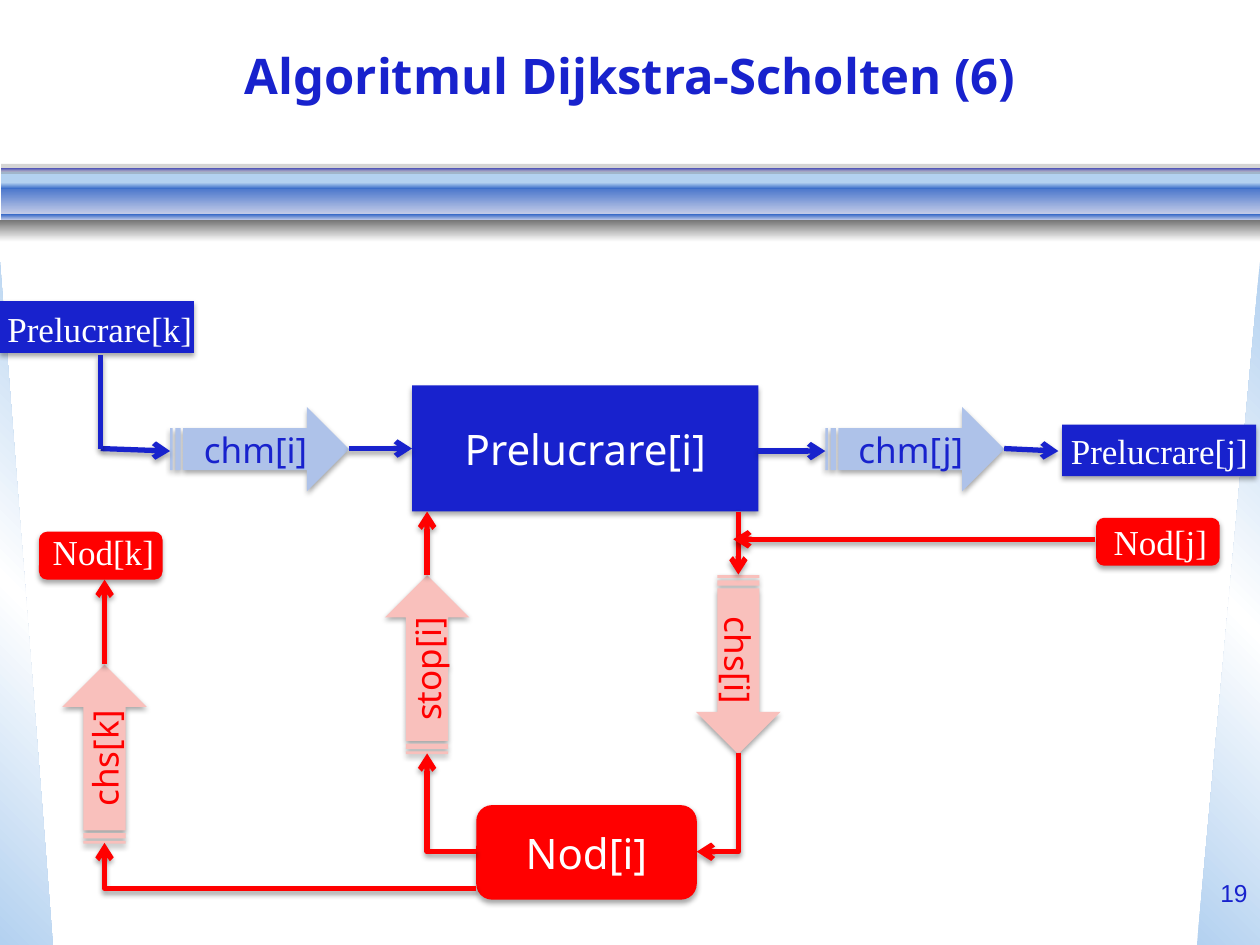
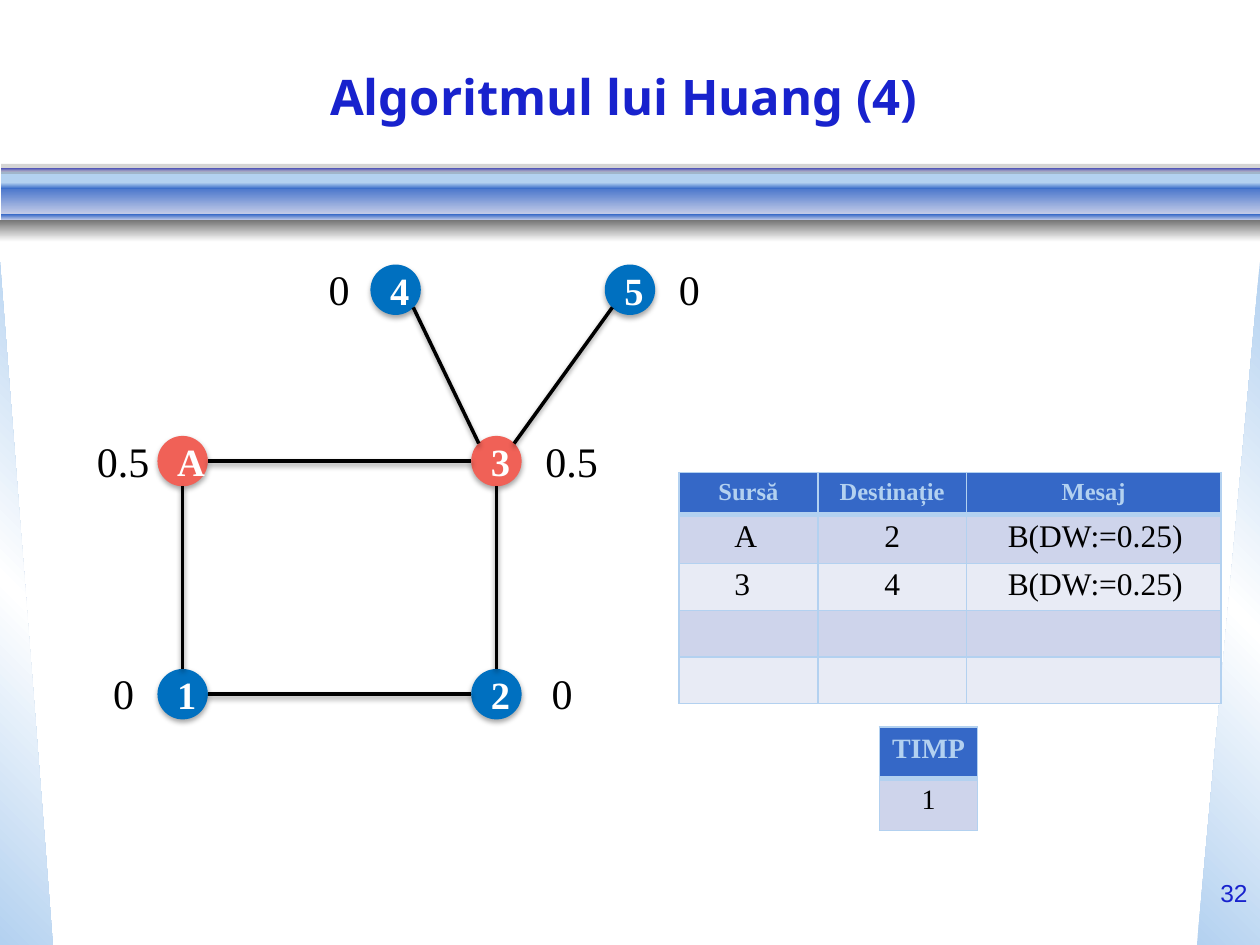
from math import cos, radians, sin

from lxml import etree
from pptx import Presentation
from pptx import util as u
from pptx.dml.color import RGBColor
from pptx.enum import shapes, text
from pptx.oxml.ns import qn

PX = 9144
WIDTH, HEIGHT = 1000, 750
BLUE, RED, WHITE, BLACK = "1822CD", "FF0000", "FFFFFF", "000000"
SKY, ROYAL, MIST, GREY = "B3D1F0", "3568C7", "CAD0E9", "777777"
PALE_BLUE, PALE_RED = "AEC2E9", "F9C0BC"
NODE_BLUE, NODE_RED = "0070C0", "F06157"
STRIPES = ("CED4EB", "E8EBF5")
SANS, SERIF = "Noto Sans", "Times New Roman"
KIND = shapes.MSO_SHAPE
NODE_SIZE = 40


def px(*lengths):
    return [u.Emu(round(length * PX)) for length in lengths]


def color(hex_string):
    return RGBColor.from_string(hex_string)


def child(parent, name, **attributes):
    element = etree.SubElement(parent, qn("a:" + name))
    for key, value in attributes.items():
        element.set(key, str(value))
    return element


def write(frame, words, size=20, font=SERIF, ink=WHITE, bold=False,
          align=text.PP_ALIGN.CENTER):
    para = frame.paragraphs[0]
    para.alignment = align
    span = para.add_run()
    span.text = words
    span.font.size = u.Pt(size)
    span.font.name = font
    span.font.bold = bold
    span.font.color.rgb = color(ink)


def add_text(page, words, box, anchor=text.MSO_ANCHOR.TOP, wrap=True, **style):
    label = page.shapes.add_textbox(*px(*box))
    frame = label.text_frame
    frame.word_wrap = wrap
    frame.vertical_anchor = anchor
    if not wrap:
        frame.auto_size = text.MSO_AUTO_SIZE.SHAPE_TO_FIT_TEXT
    write(frame, words, **style)


def add_label(page, words, box, **style):
    add_text(page, words, box, wrap=False, align=text.PP_ALIGN.LEFT, **style)


def set_effect(item, opacity=35, distance=1.8):
    properties = item._element.spPr
    for old in properties.findall(qn("a:effectLst")):
        properties.remove(old)
    effects = child(properties, "effectLst")
    if opacity:
        shadow = child(effects, "outerShdw", blurRad=u.Pt(3.1), dist=u.Pt(distance),
                       dir=5400000, rotWithShape=0)
        child(child(shadow, "srgbClr", val=BLACK), "alpha", val=opacity * 1000)


def add_block(page, kind, box, fill, words=None, rotation=0, shadow=True, **style):
    block = page.shapes.add_shape(kind, *px(*box))
    block.rotation = rotation
    block.fill.solid()
    block.fill.fore_color.rgb = color(fill)
    block.line.fill.background()
    set_effect(block, 35 if shadow else 0)
    if words:
        block.text_frame.vertical_anchor = text.MSO_ANCHOR.MIDDLE
        write(block.text_frame, words, **style)
    return block


def add_gradient(page, kind, box, stops, angle=90, mirrored=False):
    block = add_block(page, kind, box, stops[0], shadow=False)
    properties = block._element.spPr
    solid = properties.find(qn("a:solidFill"))
    gradient = etree.Element(qn("a:gradFill"), rotWithShape="1")
    stop_list = child(gradient, "gsLst")
    for index, stop in enumerate(stops):
        position = index * 100000 // (len(stops) - 1)
        child(child(stop_list, "gs", pos=position), "srgbClr", val=stop)
    child(gradient, "lin", ang=angle * 60000, scaled=0)
    properties.replace(solid, gradient)
    if mirrored:
        properties.find(qn("a:xfrm")).set("flipH", "1")


def add_line(page, start, end, ink, width=3, arrow="tailEnd", bent=False,
             opacity=35, distance=1.8):
    kind = shapes.MSO_CONNECTOR.ELBOW if bent else shapes.MSO_CONNECTOR.STRAIGHT
    line = page.shapes.add_connector(kind, *px(*start, *end))
    line.line.color.rgb = color(ink)
    line.line.width = u.Pt(width)
    properties = line._element.spPr
    if bent:
        properties.find(qn("a:prstGeom")).set("prst", "bentConnector2")
    if arrow:
        child(properties.find(qn("a:ln")), arrow, type="arrow")
    set_effect(line, opacity, distance)
    return line


def add_channel(page, words, left, top, fill, ink, rotation=0):
    add_block(page, KIND.STRIPED_RIGHT_ARROW, (left, top, 142, 67), fill, words,
              rotation, font=SANS, ink=ink)


def set_borders(cell, top, bottom):
    properties = cell._tc.get_or_add_tcPr()
    sides = (("lnL", 1), ("lnR", 1), ("lnT", top), ("lnB", bottom))
    for index, (side, width) in enumerate(sides):
        border = etree.Element(qn("a:" + side), w=str(u.Pt(width)))
        child(child(border, "solidFill"), "srgbClr", val=SKY)
        properties.insert(index, border)


def add_grid(page, left, top, widths, heights, rows, size):
    box = (left, top, sum(widths), sum(heights))
    table = page.shapes.add_table(len(heights), len(widths), *px(*box)).table
    table.horz_banding = False
    for column, width in zip(table.columns, px(*widths)):
        column.width = width
    for r, height in enumerate(px(*heights)):
        table.rows[r].height = height
        for c in range(len(widths)):
            cell = table.cell(r, c)
            cell.fill.solid()
            cell.fill.fore_color.rgb = color(STRIPES[(r - 1) % 2] if r else ROYAL)
            set_borders(cell, 3 if r == 1 else 1, 1 if r else 3)
            if r < len(rows):
                write(cell.text_frame, rows[r][c], size=size,
                      ink=BLACK if r else SKY, bold=r == 0)
            else:
                cell.margin_top = cell.margin_bottom = 0


def add_page(deck, title, title_top, number):
    page = deck.slides.add_slide(deck.slide_layouts[6])
    corner = (SKY, WHITE, SKY)
    add_gradient(page, KIND.RIGHT_TRIANGLE, (0, 208, 42, 542), corner, 315)
    add_gradient(page, KIND.RIGHT_TRIANGLE, (950, 208, 50, 542), corner, 45, True)
    add_block(page, KIND.RECTANGLE, (1, 136, 999, 10), SKY, shadow=False)
    bands = (
        (1, 146, 25, (ROYAL, MIST)),
        (1, 133, 3, (BLUE, "BABBE7")),
        (1, 170, 5, (ROYAL, MIST)),
        (1, 145, 5, (SKY, ROYAL)),
        (0, 175, 17, (GREY, WHITE)),
    )
    for left, top, height, stops in bands:
        add_gradient(page, KIND.RECTANGLE, (left, top, WIDTH - left, height), stops)
    veil = add_block(page, KIND.RECTANGLE, (1, 130, 999, 8), GREY, shadow=False)
    child(veil._element.spPr.find(qn("a:solidFill"))[0], "alpha", val=31000)
    add_text(page, title, (50, title_top, 900, 53), text.MSO_ANCHOR.MIDDLE,
             size=28, font=SANS, ink=BLUE, bold=True)
    add_text(page, str(number), (950, 692, 50, 58), size=14, font="Arial", ink=BLUE,
             align=text.PP_ALIGN.RIGHT)
    return page


def build_dijkstra_scholten(deck):
    page = add_page(deck, "Algoritmul Dijkstra-Scholten (6)", 33, 19)

    process = add_block(page, KIND.RECTANGLE, (327, 306, 275, 100), BLUE,
                        "Prelucrare[i]", size=24, font=SANS)
    add_block(page, KIND.RECTANGLE, (843, 337, 154, 41), BLUE)
    add_block(page, KIND.RECTANGLE, (0, 239, 154, 41), BLUE)
    add_channel(page, "chm[i]", 135, 323, PALE_BLUE, BLUE)
    add_channel(page, "chm[j]", 655, 323, PALE_BLUE, BLUE)
    add_line(page, (277, 356), (327, 356), BLUE).end_connect(process, 1)
    add_line(page, (602, 358), (655, 358), BLUE)
    add_line(page, (797, 356), (840, 358), BLUE)
    add_line(page, (80, 356), (135, 358), BLUE)
    add_line(page, (80, 356), (80, 282), BLUE, arrow=None)

    add_block(page, KIND.ROUNDED_RECTANGLE, (378, 639, 175, 75), RED, "Nod[i]",
              size=24, font=SANS)
    for left, top in ((31, 422), (870, 411)):
        add_block(page, KIND.ROUNDED_RECTANGLE, (left, top, 98, 38), RED)
    for words, left, top, rotation in (("chs[k]", 12, 565, 270),
                                       ("stop[i]", 268, 494, 270),
                                       ("chs[i]", 515, 494, 90)):
        add_channel(page, words, left, top, PALE_RED, RED, rotation)
    add_line(page, (378, 705), (83, 669), RED, bent=True)
    add_line(page, (378, 676), (339, 598), RED, bent=True)
    add_line(page, (553, 676), (586, 598), RED, bent=True, arrow="headEnd")
    for start, end in (((83, 527), (83, 460)), ((339, 456), (339, 406)),
                       ((586, 406), (586, 456)), ((869, 428), (582, 428))):
        add_line(page, start, end, RED)

    for words, box in (("Prelucrare[j]", (840, 336, 161, 44)),
                       ("Prelucrare[k]", (-4, 239, 168, 44)),
                       ("Nod[k]", (32, 416, 101, 44)),
                       ("Nod[j]", (874, 408, 95, 44))):
        add_label(page, words, box)


def rim_point(corner, angle):
    radius = NODE_SIZE / 2
    left, top = corner
    return (round(left + radius + radius * cos(radians(angle))),
            round(top + radius + radius * sin(radians(angle))))


def build_huang(deck):
    page = add_page(deck, "Algoritmul lui Huang (4) ", 50, 32)

    nodes = {"3": (374, 346), "1": (125, 531), "2": (374, 531),
             "4": (294, 210), "5": (480, 210), "A": (125, 346)}
    for name, corner in nodes.items():
        add_block(page, KIND.OVAL, (*corner, NODE_SIZE, NODE_SIZE),
                  NODE_RED if name in "A3" else NODE_BLUE, name, size=22, bold=True)
    edges = (("A", 0, "3", 180), ("1", 0, "2", 180), ("A", 90, "1", 270),
             ("3", 90, "2", 270), ("4", 45, "3", 225), ("5", 135, "3", 315))
    for first, leaving, second, arriving in edges:
        add_line(page, rim_point(nodes[first], leaving),
                 rim_point(nodes[second], arriving), BLACK, width=2, arrow=None,
                 opacity=38, distance=1.6)

    weights = (("0.5", 67, 341), ("0", 80, 525), ("0.5", 423, 341),
               ("0", 428, 525), ("0", 251, 204), ("0", 529, 204))
    for weight, left, top in weights:
        add_label(page, weight, (left, top, 62 if "." in weight else 37, 50),
                  size=24, ink=BLACK)

    add_grid(page, 539, 375, (110, 118, 202), (32, 39, 37, 37, 37),
             [("Sursă", "Destinație", "Mesaj")], 14)
    add_grid(page, 698, 577, (78,), (41, 41), [("TIMP",), ("1",)], 16)
    messages = (("A", "2", "B(DW:=0.25)"), ("3", "4", "B(DW:=0.25)"))
    for row, message in enumerate(messages):
        for words, left, width in zip(message, (573, 692, 790), (38, 33, 160)):
            add_label(page, words, (left, 405 + 38 * row, width, 40),
                      size=18, ink=BLACK)


def main():
    deck = Presentation()
    deck.slide_width, deck.slide_height = px(WIDTH, HEIGHT)
    build_dijkstra_scholten(deck)
    build_huang(deck)
    deck.save("out.pptx")


if __name__ == "__main__":
    main()
